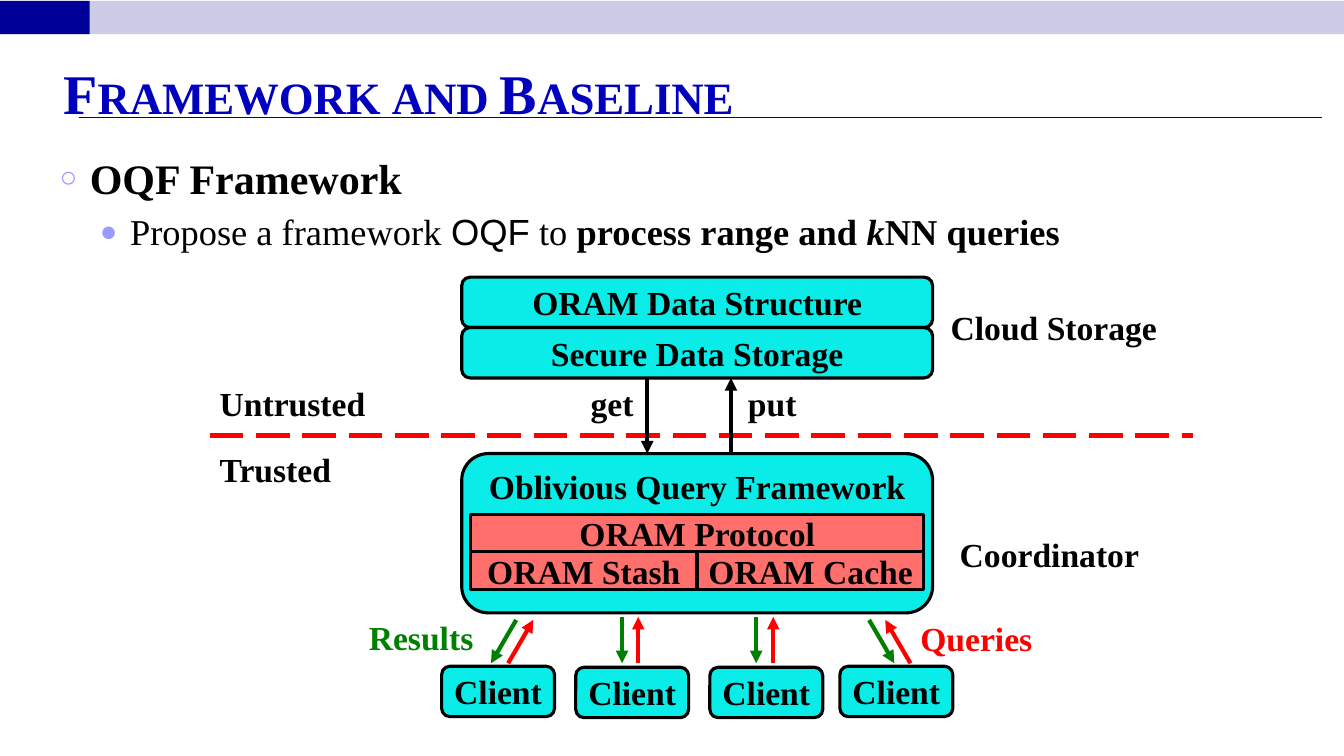
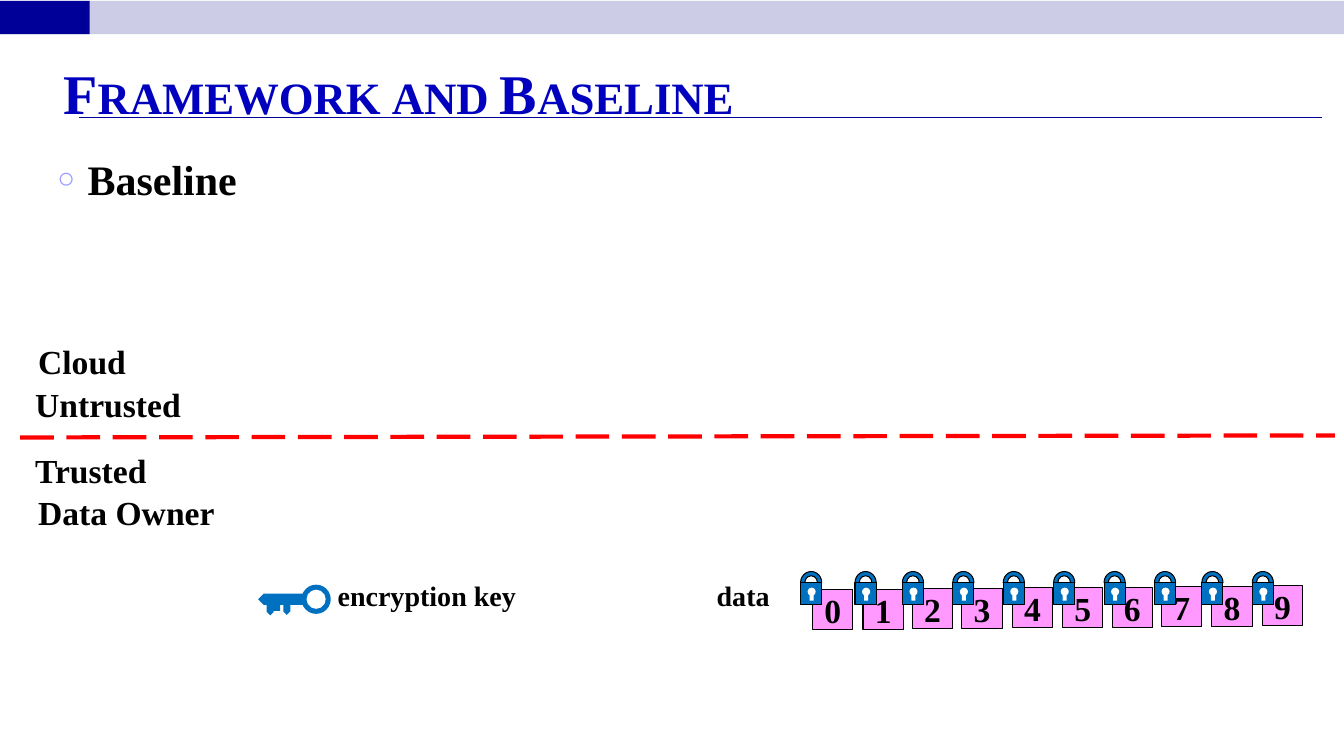
from lxml import etree
from pptx import Presentation
from pptx import util as u
from pptx.dml.color import RGBColor
from pptx.enum import dml, shapes, text
from pptx.oxml.ns import qn

PX = 9144  # 100 px to the inch
FONT = "Times New Roman"
BLACK, WHITE, RED, GREEN = "000000", "FFFFFF", "FF0000", "008000"
NAVY, LAVENDER, TITLE_BLUE, BULLET = "000099", "CCCCE6", "0000BE", "9999FF"
CYAN, CORAL, PINK, BLUE = "09ECE7", "FF706D", "FF99FF", "0070C0"
RECT = shapes.MSO_SHAPE.RECTANGLE
ROUND = shapes.MSO_SHAPE.ROUNDED_RECTANGLE
OVAL = shapes.MSO_SHAPE.OVAL
ARC = shapes.MSO_SHAPE.BLOCK_ARC
PENTAGON = shapes.MSO_SHAPE.PENTAGON
color = RGBColor.from_string


def add_box(parent, kind, box, fill=None, line=None, width=0.75,
            label="", size=24, ink=BLACK):
    """Add a preset shape, or a text box when kind is None."""
    place = [length * PX for length in box]
    if kind is None:
        shape = parent.add_textbox(*place)
    else:
        shape = parent.add_shape(kind, *place)
        shape.shadow.inherit = False
    if fill:
        shape.fill.solid()
        shape.fill.fore_color.rgb = color(fill)
    if line:
        shape.line.color.rgb = color(line)
        shape.line.width = u.Pt(width)
    else:
        shape.line.fill.background()
    if label:
        frame = shape.text_frame
        frame.word_wrap = kind is None
        paragraph = frame.paragraphs[0]
        if kind is not None:
            frame.vertical_anchor = text.MSO_ANCHOR.MIDDLE
            paragraph.alignment = text.PP_ALIGN.CENTER
        run = paragraph.add_run()
        run.text = label
        run.font.name, run.font.size, run.font.bold = FONT, u.Pt(size), True
        run.font.color.rgb = color(ink)
    return shape


def add_line(parent, ends, ink, width=3, dashed=False, arrow=False):
    connector = parent.add_connector(
        shapes.MSO_CONNECTOR.STRAIGHT, *[length * PX for length in ends])
    connector.line.color.rgb = color(ink)
    connector.line.width = u.Pt(width)
    if dashed:
        connector.line.dash_style = dml.MSO_LINE.LONG_DASH
    if arrow:
        outline = connector._element.spPr.find(qn("a:ln"))
        etree.SubElement(outline, qn("a:tailEnd"), type="triangle")
    etree.SubElement(connector._element.spPr, qn("a:effectLst"))
    return connector


presentation = Presentation()
presentation.slide_width, presentation.slide_height = u.Inches(13.33), u.Inches(7.5)
layout = presentation.slide_layouts[1]
framework = presentation.slides.add_slide(layout)
baseline = presentation.slides.add_slide(layout)

# Shared layout: title place, bands and rule
title_place = layout.placeholders[0]
title_place.left, title_place.top = 53 * PX, 52 * PX
title_place.width, title_place.height = 1225 * PX, 74 * PX
decorations = [
    add_box(framework.shapes, RECT, (0, 1, 1333, 33), LAVENDER),
    add_box(framework.shapes, RECT, (0, 1, 89, 33), NAVY),
    add_line(framework.shapes, (78, 117, 1311, 117), NAVY, 0.75),
]
for number, decoration in enumerate(decorations):
    element = decoration._element
    element.xpath(".//p:cNvPr")[0].set("id", str(20 + number))
    layout.shapes._spTree.insert(2 + number, element)

# Titles and bullet lists: level, then runs of text, font, bold, italic
contents = [
    (framework, 49, 146, [
        (0, [("OQF Framework", FONT, True, False)]),
        (1, [("Propose a framework ", FONT, False, False),
             ("OQF", "Arial", False, False),
             (" to ", FONT, False, False),
             ("process range and ", FONT, True, False),
             ("k", FONT, True, True),
             ("NN queries", FONT, True, False)]),
    ]),
    (baseline, 47, 147, [(0, [("Baseline", FONT, True, False)])]),
]
# Per level: text size, left margin, bullet, bullet size
levels = [(30, 30, "○", 70), (26, 70, "●", 80)]
for slide, left, top, paragraphs in contents:
    frame = slide.shapes.title.text_frame
    frame.auto_size = text.MSO_AUTO_SIZE.NONE
    frame.vertical_anchor = text.MSO_ANCHOR.BOTTOM
    frame.margin_bottom = PX
    frame.paragraphs[0].alignment = text.PP_ALIGN.LEFT
    run = frame.paragraphs[0].add_run()
    run.text = "Framework and Baseline"
    run.font.name, run.font.size, run.font.bold = FONT, u.Pt(40), True
    run.font.color.rgb = color(TITLE_BLUE)
    run._r.get_or_add_rPr().set("cap", "small")

    body = slide.placeholders[1]
    body.left, body.top = left * PX, top * PX
    body.width, body.height = 1197 * PX, 548 * PX
    frame = body.text_frame
    frame.auto_size = text.MSO_AUTO_SIZE.NONE
    for index, (level, runs) in enumerate(paragraphs):
        paragraph = frame.add_paragraph() if index else frame.paragraphs[0]
        size, margin, bullet, percent = levels[level]
        paragraph.level = level
        paragraph.space_before = u.Pt(5 if index else 0)
        properties = paragraph._p.get_or_add_pPr()
        properties.set("marL", str(margin * PX))
        properties.set("indent", str(-30 * PX))
        bullet_color = etree.SubElement(properties, qn("a:buClr"))
        etree.SubElement(bullet_color, qn("a:srgbClr"), val=BULLET)
        etree.SubElement(properties, qn("a:buSzPct"), val=str(percent * 1000))
        etree.SubElement(properties, qn("a:buChar"), char=bullet)
        for words, font, bold, italic in runs:
            run = paragraph.add_run()
            run.text = words
            run.font.name, run.font.size = font, u.Pt(size)
            run.font.bold, run.font.italic = bold, italic
            run.font.color.rgb = color(BLACK)

# Framework: cloud and coordinator blocks
add_line(framework.shapes, (208, 432, 1183, 432), RED, dashed=True)
for kind, box, fill, label in [
    (ROUND, (458, 275, 467, 50), CYAN, "ORAM Data Structure"),
    (ROUND, (458, 325, 467, 50), CYAN, "Secure Data Storage"),
    (ROUND, (458, 450, 467, 158), CYAN, "Oblivious Query Framework"),
    (RECT, (467, 510, 449, 38), CORAL, "ORAM Protocol"),
    (RECT, (467, 547, 224, 38), CORAL, "ORAM Stash"),
    (RECT, (692, 547, 224, 38), CORAL, "ORAM Cache"),
]:
    block = add_box(framework.shapes, kind, box, fill, BLACK, 2.25, label)
    if label == "Oblivious Query Framework":
        block.text_frame.vertical_anchor = text.MSO_ANCHOR.TOP

# Framework: labels
for left, top, width, label, ink in [
    (933, 300, 242, "Cloud Storage", BLACK),
    (942, 525, 242, "Coordinator", BLACK),
    (208, 375, 175, "Untrusted", BLACK),
    (208, 440, 175, "Trusted", BLACK),
    (576, 375, 65, "get", BLACK),
    (732, 375, 84, "put", BLACK),
    (356, 607, 137, "Results", GREEN),
    (903, 608, 137, "Queries", RED),
]:
    add_box(framework.shapes, None, (left, top, width, 50), label=label, ink=ink)

# Framework: get and put arrows, clients with result and query arrows
add_line(framework.shapes, (642, 375, 642, 450), BLACK, arrow=True)
add_line(framework.shapes, (725, 450, 725, 375), BLACK, arrow=True)
for left, top, result_from, result_to, query_from, query_to, arrow_top in [
    (438, 661, 512, 487, 504, 529, 615),
    (571, 662, 617, 617, 633, 633, 612),
    (704, 662, 750, 750, 767, 767, 612),
    (833, 661, 862, 887, 903, 878, 615),
]:
    add_box(framework.shapes, ROUND, (left, top, 112, 50), CYAN, BLACK, 2.25, "Client")
    add_line(framework.shapes, (result_from, arrow_top, result_to, 658), GREEN, arrow=True)
    add_line(framework.shapes, (query_from, 658, query_to, arrow_top), RED, arrow=True)

# Baseline: data cells
for digit in range(10):
    cell = (806 + round(49.5 * digit), 585 - round(0.4 * digit), 40, 40)
    add_box(baseline.shapes, RECT, cell, PINK, BLACK, label=str(digit))

# Baseline: trust border and labels
add_line(baseline.shapes, (20, 434, 1324, 432), RED, dashed=True)
for left, top, width, height, label, size, line in [
    (28, 333, 123, 50, "Cloud", 24, WHITE),
    (25, 376, 175, 50, "Untrusted", 24, None),
    (25, 441, 175, 50, "Trusted", 24, None),
    (28, 483, 201, 50, "Data Owner", 24, WHITE),
    (325, 569, 198, 44, "encryption key", 20, None),
    (701, 569, 73, 44, "data", 20, None),
]:
    add_box(baseline.shapes, None, (left, top, width, height),
            line=line, label=label, size=size)

# Baseline: padlocks
for left in (794, 848, 895, 945, 995, 1045, 1095, 1145, 1192, 1242):
    padlock = baseline.shapes.add_group_shape().shapes
    shackle = add_box(padlock, ARC, (left, 567, 21, 22), BLUE, BLACK)
    shackle.adjustments[2] = 0.2
    add_box(padlock, RECT, (left, 578, 21, 22), BLUE, BLACK)
    add_box(padlock, OVAL, (left + 7, 583, 8, 8), WHITE)
    add_box(padlock, RECT, (left + 9, 588, 4, 8), WHITE)

# Baseline: key
key = baseline.shapes.add_group_shape().shapes
add_box(key, OVAL, (299, 580, 29, 29), BLUE)
blade = add_box(key, PENTAGON, (256, 589, 50, 11), BLUE)
blade._element.spPr.find(qn("a:xfrm")).set("flipH", "1")
add_box(key, OVAL, (304, 585, 19, 19), WHITE)
add_box(key, RECT, (271, 597, 7, 9), BLUE)
for left, top, width in [(261, 600, 14), (277, 599, 15)]:
    tooth = add_box(key, PENTAGON, (left, top, width, 7), BLUE)
    tooth.rotation = 90

presentation.save("out.pptx")
